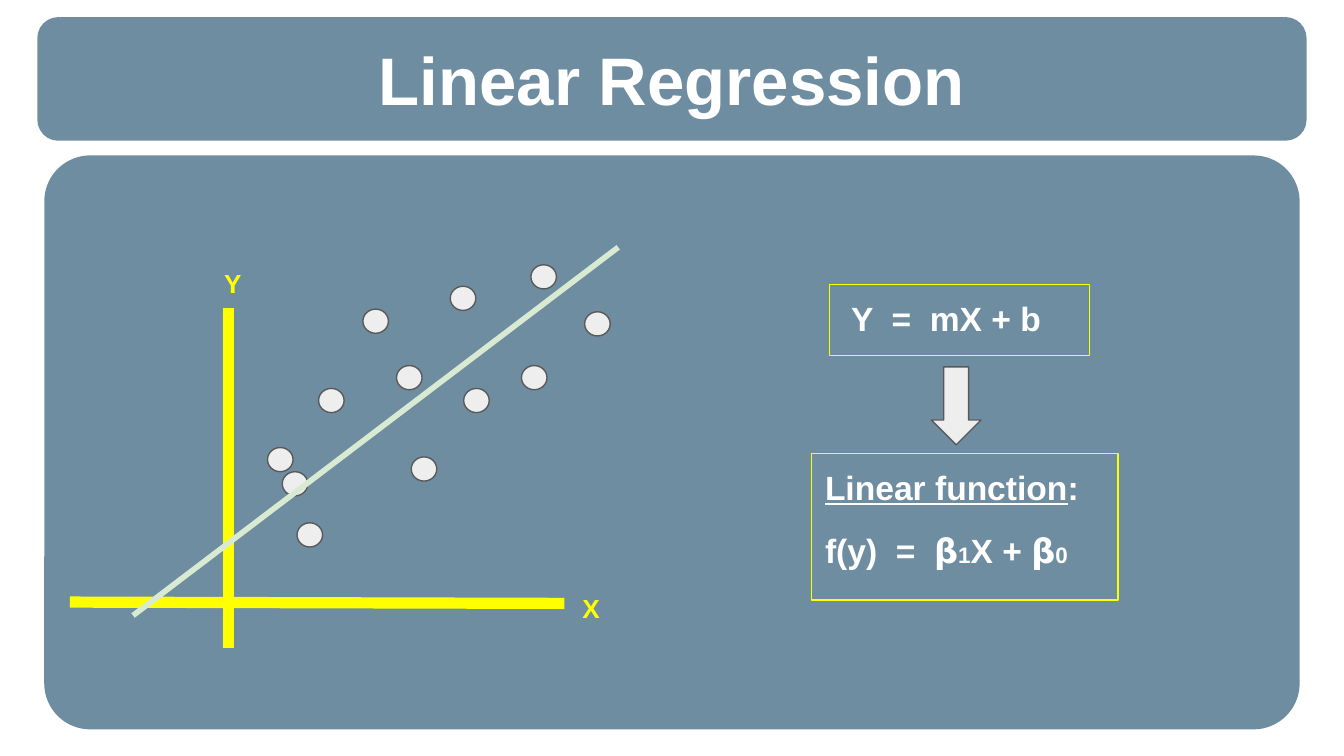
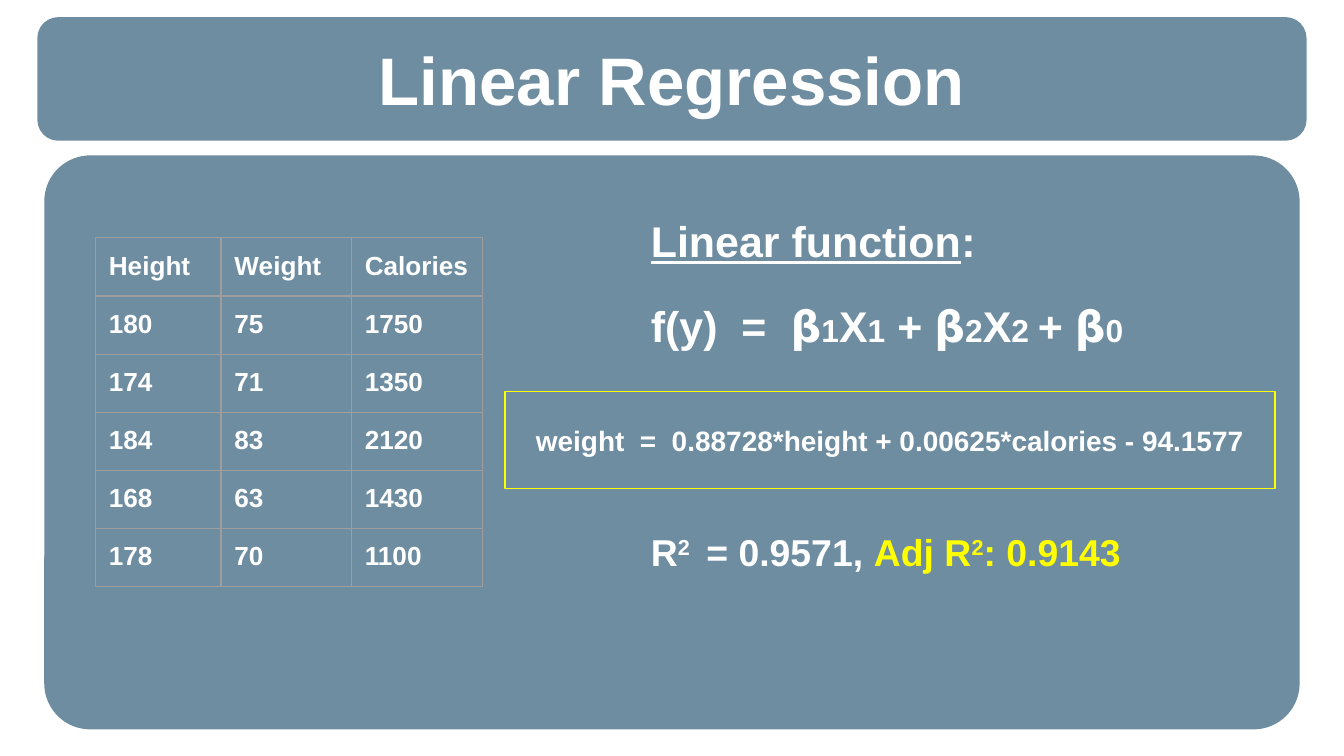
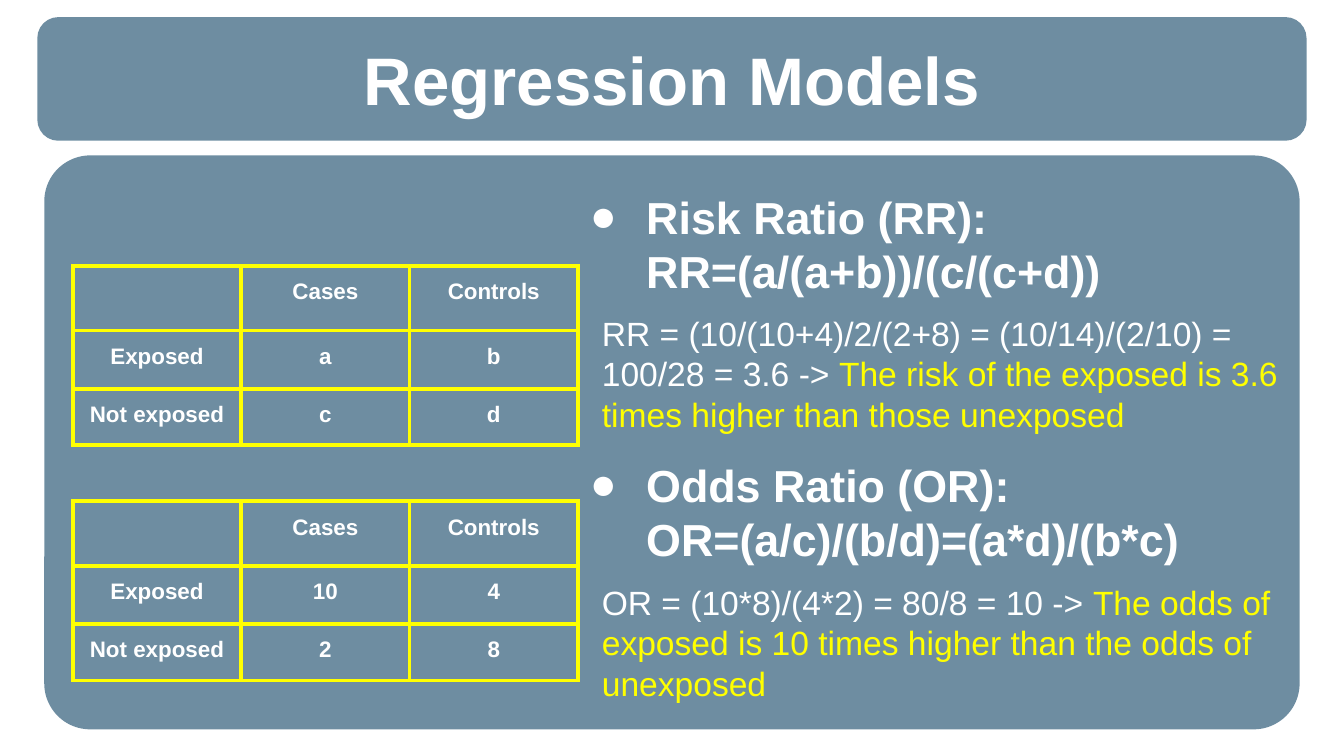
import pptx
import pptx.util
import pptx.dml.color
import pptx.enum.shapes
import pptx.enum.text
import pptx.oxml
import pptx.oxml.ns
import lxml.etree

SHAPE = pptx.enum.shapes.MSO_SHAPE
ALIGN = pptx.enum.text.PP_ALIGN
ANCHOR = pptx.enum.text.MSO_ANCHOR
qn = pptx.oxml.ns.qn

WIDTH = 10
HEIGHT = WIDTH * 9 / 16
COLS, ROWS = 100, 56.25
BAND, WHITE, YELLOW = "215170", "FFFFFF", "FFFF00"
PALE, DARK, GREEN, GREY = "EEEEEE", "595959", "D9EAD3", "9E9E9E"
INSET = pptx.util.Inches(0.1)
BOLD = {"name": "Arial", "bold": True, "color": WHITE}
PLAIN = {**BOLD, "bold": False}
DOT_W, DOT_H = 1.9, 1.8
DOTS = [
    (21, 35.1), (34.5, 28.9), (23.7, 28.9), (30.6, 34), (39.5, 19.7),
    (38.8, 27.2), (33.5, 21.3), (22.1, 38.9), (43.5, 23.2), (29.5, 27.2),
    (27, 23), (19.9, 33.3),
]
MEASURES = [
    ["Height", "Weight", "Calories"],
    ["180", "75", "1750"],
    ["174", "71", "1350"],
    ["184", "83", "2120"],
    ["168", "63", "1430"],
    ["178", "70", "1100"],
]


def rgb(value):
    return pptx.dml.color.RGBColor.from_string(value)


def grid(col, row):
    return (pptx.util.Inches(WIDTH * col / COLS),
            pptx.util.Inches(HEIGHT * row / ROWS))


def box(left, top, width, height):
    return grid(left, top) + grid(width, height)


def set_attrs(obj, values):
    for name, value in values.items():
        setattr(obj, name, value)


def set_frame(tf, anchor=ANCHOR.TOP):
    set_attrs(tf, {
        "word_wrap": True, "auto_size": pptx.enum.text.MSO_AUTO_SIZE.NONE,
        "vertical_anchor": anchor, "margin_left": INSET, "margin_right": INSET,
        "margin_top": INSET, "margin_bottom": INSET,
    })


def add_run(p, text, size, style, baseline=None):
    r = p.add_run()
    r.text = text
    values = {**style, "size": pptx.util.Pt(size)}
    r.font.color.rgb = rgb(values.pop("color"))
    set_attrs(r.font, values)
    if baseline:
        r._r.get_or_add_rPr().set("baseline", str(baseline))


def write(tf, paragraphs, align=ALIGN.LEFT):
    for i, (runs, gap) in enumerate(paragraphs):
        p = tf.paragraphs[0] if i == 0 else tf.add_paragraph()
        set_attrs(p, {"alignment": align, "line_spacing": 1.0,
                      "space_before": pptx.util.Pt(gap)})
        for run in runs:
            add_run(p, *run)


def add_text(slide, place, paragraphs):
    tf = slide.shapes.add_textbox(*box(*place)).text_frame
    set_frame(tf)
    write(tf, paragraphs)
    return tf


def add_shape(slide, kind, place, fill=None, line=None):
    sp = slide.shapes.add_shape(kind, *box(*place))
    sp.shadow.inherit = False
    if fill:
        sp.fill.solid()
        sp.fill.fore_color.rgb = rgb(fill)
    else:
        sp.fill.background()
    if line:
        sp.line.color.rgb = rgb(line)
        sp.line.width = pptx.util.Pt(0.75)
    else:
        sp.line.fill.background()
    return sp


def add_framed(slide, place, paragraphs, align=ALIGN.LEFT, anchor=ANCHOR.TOP):
    sp = add_shape(slide, SHAPE.RECTANGLE, place, line=YELLOW)
    set_frame(sp.text_frame, anchor)
    write(sp.text_frame, paragraphs, align)


def add_line(slide, start, end, color, width):
    line = slide.shapes.add_connector(
        pptx.enum.shapes.MSO_CONNECTOR.STRAIGHT, *grid(*start), *grid(*end))
    line.line.color.rgb = rgb(color)
    line.line.width = pptx.util.Pt(width)
    lxml.etree.SubElement(line._element.spPr, qn("a:effectLst"))


def set_borders(cell, color, width):
    tcPr = cell._tc.get_or_add_tcPr()
    for i, side in enumerate(("lnL", "lnR", "lnT", "lnB")):
        ln = pptx.oxml.parse_xml(
            f'<a:{side} {pptx.oxml.ns.nsdecls("a")} w="{pptx.util.Pt(width)}">'
            f'<a:solidFill><a:srgbClr val="{color}"/></a:solidFill></a:{side}>')
        tcPr.insert(i, ln)


def set_empty_cell(cell):
    end = lxml.etree.SubElement(cell.text_frame.paragraphs[0]._p,
                                qn("a:endParaRPr"))
    end.set("sz", "1800")
    lxml.etree.SubElement(end, qn("a:latin")).set("typeface", "Arial")


def add_table(slide, left, top, widths, heights, rows, size, align, border):
    place = box(left, top, sum(widths), sum(heights))
    table = slide.shapes.add_table(len(rows), len(widths), *place).table
    set_attrs(table, {"first_row": False, "horz_banding": False})
    for column, width in zip(table.columns, widths):
        column.width = grid(width, 0)[0]
    for row, height in zip(table.rows, heights):
        row.height = grid(0, height)[1]
    for row, texts in zip(table.rows, rows):
        for cell, text in zip(row.cells, texts):
            set_attrs(cell, {"margin_left": INSET, "margin_right": INSET,
                             "margin_top": INSET, "margin_bottom": INSET})
            cell.fill.background()
            set_borders(cell, *border)
            if text:
                write(cell.text_frame, [([(text, size, BOLD)], 0)], align)
            else:
                set_empty_cell(cell)


def add_contingency(slide, top, exposed, unexposed):
    rows = [["", "Cases", "Controls"],
            ["Exposed", *exposed],
            ["Not exposed", *unexposed]]
    add_table(slide, 5.42, top, [12.53] * 3, [4.33, 4.33, 4.2], rows, 12,
              ALIGN.CENTER, (YELLOW, 2.25))


def indent(p, hanging=0, bullet=None):
    pPr = p._p.get_or_add_pPr()
    pPr.set("marL", str(pptx.util.Inches(0.5)))
    pPr.set("indent", str(-pptx.util.Inches(hanging)))
    if bullet:
        color = lxml.etree.SubElement(pPr, qn("a:buClr"))
        lxml.etree.SubElement(color, qn("a:srgbClr")).set("val", WHITE)
        lxml.etree.SubElement(pPr, qn("a:buFont")).set("typeface", "Arial")
        lxml.etree.SubElement(pPr, qn("a:buChar")).set("char", bullet)


def add_bands(slide, layout):
    for place, corner in (((2.78, 1.27, 94.44, 9.2), 0.167),
                          ((3.3, 11.57, 93.4, 42.7), 0.076)):
        sp = add_shape(slide, SHAPE.ROUNDED_RECTANGLE, place, BAND)
        sp.adjustments[0] = round(corner, 2)
        color = sp._element.spPr.find(qn("a:solidFill"))[0]
        lxml.etree.SubElement(color, qn("a:alpha")).set("val", "65000")
        layout.shapes.element.append(sp._element)


def add_slide(prs, layout, title):
    slide = prs.slides.add_slide(layout)
    sp = slide.shapes.title
    set_attrs(sp, dict(zip(("left", "top", "width", "height"),
                           box(3.3, 2.85, 93.4, 6))))
    set_frame(sp.text_frame, ANCHOR.MIDDLE)
    write(sp.text_frame, [([(title, 36, BOLD)], 0)], ALIGN.CENTER)
    return slide


def function_text(size, small, gap, terms):
    heading = [("Linear function", size, {**BOLD, "underline": True}),
               (":", size, BOLD)]
    formula = [(text, small if i % 2 else size, BOLD)
               for i, text in enumerate(terms)]
    return [(heading, 0), (formula, gap)]


def build_scatter(slide):
    add_line(slide, (17, 22.9), (17, 48.2), YELLOW, 6)
    add_line(slide, (5.2, 44.8), (42, 44.9), YELLOW, 6)
    for label, left, top in (("X", 42.35, 43.1), ("Y", 15.7, 18.9)):
        add_text(slide, (left, top, 4.8, 4.8),
                 [([(label, 14, {**BOLD, "color": YELLOW})], 0)])
    for left, top in DOTS:
        add_shape(slide, SHAPE.OVAL, (left, top, DOT_W, DOT_H), PALE, DARK)
    add_line(slide, (9.9, 45.8), (46, 18.4), GREEN, 3)
    add_framed(slide, (61.7, 21.15, 19.35, 5.3),
               [([(" Y  =  mX + b", 18, BOLD)], 0)])
    add_framed(slide, (60.4, 33.75, 22.8, 10.9),
               function_text(18, 12, 12, ["f(y)  =  𝝱", "1", "X + 𝝱", "0"]))
    add_shape(slide, SHAPE.DOWN_ARROW, (69.3, 27.3, 3.7, 5.8), PALE, DARK)


def build_example(slide):
    formula = "weight  =  0.88728*height + 0.00625*calories - 94.1577"
    add_framed(slide, (37.57, 29.15, 57.3, 7.2), [([(formula, 15, BOLD)], 0)],
               ALIGN.CENTER, ANCHOR.MIDDLE)
    add_table(slide, 7.1, 17.7, [9.35, 9.7, 9.75], [4.33] * len(MEASURES),
              MEASURES, 14, ALIGN.LEFT, (GREY, 0.75))
    terms = ["f(y)  =  𝝱", "1", "X", "1", " + 𝝱", "2", "X", "2 ", "+ 𝝱", "0"]
    add_text(slide, (47.45, 15, 39.3, 12.3), function_text(23, 17, 18, terms))
    adjusted = {**BOLD, "color": YELLOW}
    fit = [("R", 20, BOLD), ("2 ", 20, BOLD, 30000), (" = 0.9571, ", 20, BOLD),
           ("Adj R", 20, adjusted), ("2", 20, adjusted, 30000),
           (": 0.9143", 20, adjusted)]
    add_text(slide, (47.45, 38.4, 40.7, 8.7), [(fit, 0)])


def build_ratios(slide):
    lines = [("Risk Ratio (RR):", 0), ("RR=(a/(a+b))/(c/(c+d))", 0),
             ("Odds Ratio (OR):", 86), ("OR=(a/c)/(b/d)=(a*d)/(b*c)", 0)]
    tf = add_text(slide, (42.1, 13.1, 54.8, 38.8),
                  [([(text, 24, BOLD)], gap) for text, gap in lines])
    for i, p in enumerate(tf.paragraphs):
        if i % 2:
            indent(p)
        else:
            indent(p, 0.42, "●")
    add_contingency(slide, 19.8, "ab", "cd")
    add_contingency(slide, 37.3, ["10", "4"], ["2", "8"])
    for top, height, working, meaning in (
            (42.3, 10.5, "OR = (10*8)/(4*2) = 80/8 = 10 -> ",
             "The odds of exposed is 10 times higher than the odds of unexposed"),
            (22.3, 8, "RR = (10/(10+4)/2/(2+8) = (10/14)/(2/10) = 100/28 = 3.6 -> ",
             "The risk of the exposed is 3.6 times higher than those unexposed")):
        runs = [(working, 18, PLAIN), (meaning, 18, {**PLAIN, "color": YELLOW})]
        add_text(slide, (43.8, top, 53, height), [(runs, 0)])


def main():
    prs = pptx.Presentation()
    prs.slide_width, prs.slide_height = grid(COLS, ROWS)
    layout = prs.slide_layouts.get_by_name("Title Only")
    slides = [add_slide(prs, layout, title) for title in (
        "Linear Regression", "Linear Regression", "Regression Models")]
    add_bands(slides[0], layout)
    for build, slide in zip((build_scatter, build_example, build_ratios), slides):
        build(slide)
    prs.save("out.pptx")


if __name__ == "__main__":
    main()
